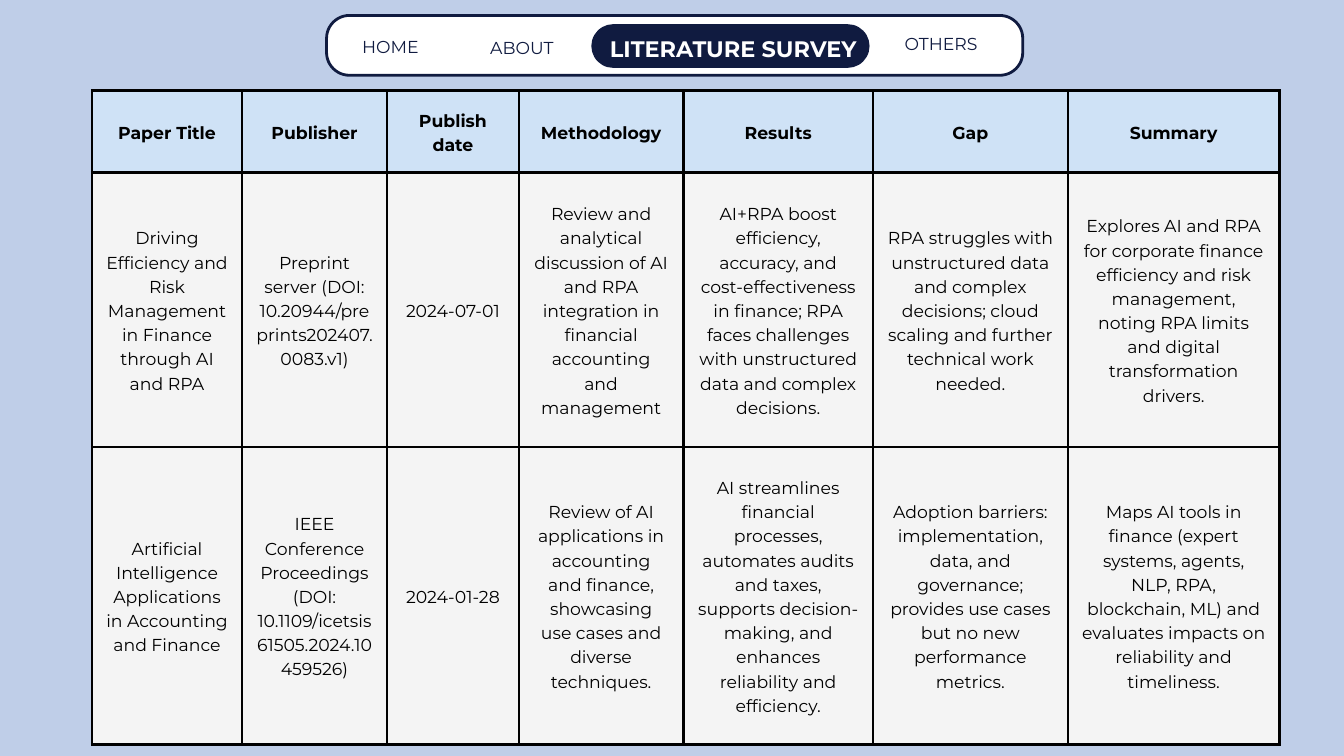
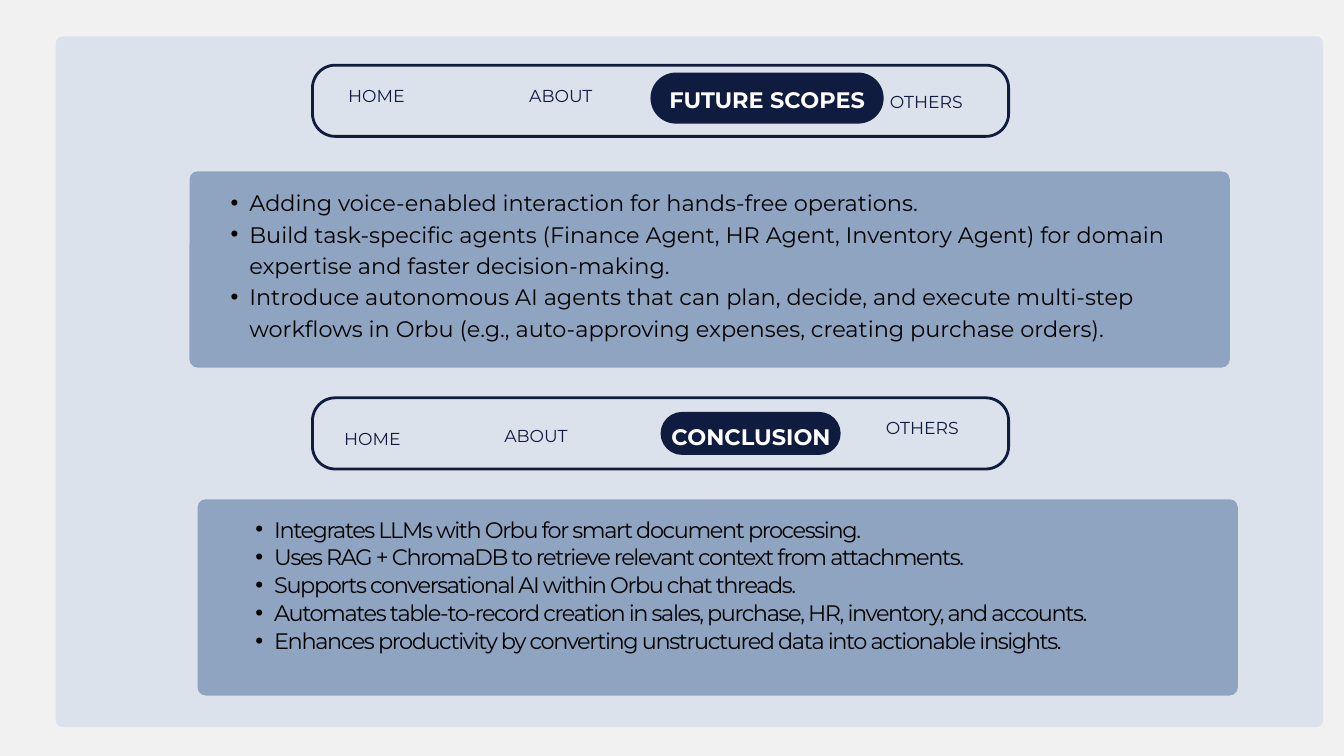
"""Build the literature survey slide and the future scopes and conclusion slide."""
from lxml import etree
from pptx import Presentation
from pptx import util as u
from pptx.dml.color import RGBColor
from pptx.enum import shapes, text
from pptx.oxml import ns

NAVY = RGBColor(0x10, 0x1B, 0x40)
WHITE = RGBColor(0xFF, 0xFF, 0xFF)
BLACK = RGBColor(0x00, 0x00, 0x00)
PERIWINKLE = RGBColor(0xBF, 0xCE, 0xE8)
LIGHT_GREY = RGBColor(0xF1, 0xF1, 0xF1)
PALE_BLUE = RGBColor(0xDC, 0xE2, 0xEB)
STEEL_BLUE = RGBColor(0x8F, 0xA4, 0xC1)
HEADER_BLUE = RGBColor(0xCF, 0xE2, 0xF6)
CELL_GREY = RGBColor(0xF4, 0xF4, 0xF4)

TITLE_ONLY, TWO_CONTENT = 5, 3
LABEL_WIDTHS = {"HOME": 1.82, "ABOUT": 2.09, "OTHERS": 2.43}
COLUMN_WIDTHS = [2.23, 2.16, 1.96, 2.45, 2.82, 2.9, 3.15]
ROW_HEIGHTS = [1.22, 4.08, 4.43]

PAPERS = [
    ["Paper Title", "Publisher", "Publish date", "Methodology", "Results", "Gap", "Summary"],
    [
        "Driving Efficiency and Risk Management in Finance through AI and RPA",
        "Preprint server (DOI: 10.20944/preprints202407.0083.v1)",
        "2024-07-01",
        "Review and analytical discussion of AI and RPA integration in financial "
        "accounting and management",
        "AI+RPA boost efficiency, accuracy, and cost-effectiveness in finance; RPA faces "
        "challenges with unstructured data and complex decisions.",
        "RPA struggles with unstructured data and complex decisions; cloud scaling and "
        "further technical work needed.",
        "Explores AI and RPA for corporate finance efficiency and risk management, noting "
        "RPA limits and digital transformation drivers.",
    ],
    [
        "Artificial Intelligence Applications in Accounting and Finance",
        "IEEE Conference Proceedings (DOI: 10.1109/icetsis61505.2024.10459526)",
        "2024-01-28",
        "Review of AI applications in accounting and finance, showcasing use cases and "
        "diverse techniques.",
        "AI streamlines financial processes, automates audits and taxes, supports "
        "decision-making, and enhances reliability and efficiency.",
        "Adoption barriers: implementation, data, and governance; provides use cases but "
        "no new performance metrics.",
        "Maps AI tools in finance (expert systems, agents, NLP, RPA, blockchain, ML) and "
        "evaluates impacts on reliability and timeliness.",
    ],
]

FUTURE_SCOPES = [
    "Adding voice-enabled interaction for hands-free operations.",
    "Build task-specific agents (Finance Agent, HR Agent, Inventory Agent) for domain "
    "expertise and faster decision-making.",
    "Introduce autonomous AI agents that can plan, decide, and execute multi-step "
    "workflows in Orbu (e.g., auto-approving expenses, creating purchase orders).",
]

CONCLUSIONS = [
    "Integrates LLMs with Orbu for smart document processing.",
    "Uses RAG + ChromaDB to retrieve relevant context from attachments.",
    "Supports conversational AI within Orbu chat threads.",
    "Automates table-to-record creation in sales, purchase, HR, inventory, and accounts.",
    "Enhances productivity by converting unstructured data into actionable insights.",
]


def inches(values):
    return [u.Inches(value) for value in values]


class Deck:
    def __init__(self):
        self.font_name = "Montserrat"
        self.presentation = Presentation()
        self.presentation.slide_width = u.Inches(20)
        self.presentation.slide_height = u.Inches(11.25)
        self.slide = None

    def new_slide(self, layout, background):
        self.slide = self.presentation.slides.add_slide(self.presentation.slide_layouts[layout])
        fill = self.slide.background.fill
        fill.solid()
        fill.fore_color.rgb = background

    def style(self, paragraph, size, color, line_spacing, alignment, bold=False):
        paragraph.alignment = alignment
        paragraph.line_spacing = u.Pt(line_spacing)
        paragraph.space_before = u.Pt(0)
        font = paragraph.font
        font.name, font.size, font.bold = self.font_name, u.Pt(size), bold
        font.color.rgb = color

    def rounded(self, box, radius, fill=None, line=None):
        shape = self.slide.shapes.add_shape(shapes.MSO_SHAPE.ROUNDED_RECTANGLE, *inches(box))
        shape.shadow.inherit = False
        shape.adjustments[0] = min(0.5, radius / min(box[2:]))
        if fill is None:
            shape.fill.background()
        else:
            shape.fill.solid()
            shape.fill.fore_color.rgb = fill
        if line is None:
            shape.line.fill.background()
        else:
            shape.line.color.rgb = line
            shape.line.width = u.Pt(3)

    def text_frame(self, box, placeholder=None):
        shape = placeholder
        if shape is None:
            shape = self.slide.shapes.add_textbox(*inches(box))
        else:
            shape.left, shape.top, shape.width, shape.height = inches(box)
            self.slide.shapes.element.append(shape.element)
        frame = shape.text_frame
        frame.word_wrap = True
        frame.auto_size = text.MSO_AUTO_SIZE.NONE
        frame.vertical_anchor = text.MSO_ANCHOR.TOP
        frame.margin_left = frame.margin_top = frame.margin_right = frame.margin_bottom = 0
        return frame

    def line_of_text(self, words, box, size, color, bold=False, placeholder=None):
        frame = self.text_frame(box, placeholder)
        frame.text = words
        self.style(frame.paragraphs[0], size, color, size * 1.4, text.PP_ALIGN.CENTER, bold)

    def navigation(self, bar, pill, heading, heading_box, labels, fill=None, placeholder=None):
        self.rounded(bar, 0.34, fill, NAVY)
        self.rounded(pill, pill[3] / 2, NAVY)
        for (label, width), (left, top) in zip(LABEL_WIDTHS.items(), labels):
            self.line_of_text(label, (left, top, width, 0.34), 18.5, NAVY)
        self.line_of_text(heading, heading_box, 24, WHITE, True, placeholder)

    def bullets(self, items, panel, box, placeholder, line_spacing, alignment, tracking=0):
        self.rounded(panel, 0.12, STEEL_BLUE)
        frame = self.text_frame(box, placeholder)
        frame.text = "\n".join(items)
        for paragraph in frame.paragraphs:
            paragraph.level = 1
            properties = paragraph._p.get_or_add_pPr()
            properties.set("marL", str(u.Inches(0.57)))
            properties.set("indent", str(u.Inches(-0.28)))
            etree.SubElement(properties, ns.qn("a:buChar")).set("char", "•")
            self.style(paragraph, 24, BLACK, line_spacing, alignment)
            if tracking:
                for run in paragraph.runs:
                    run._r.get_or_add_rPr().set("spc", str(tracking))

    def borders(self, cell):
        properties = cell._tc.get_or_add_tcPr()
        for side in ("lnL", "lnR", "lnT", "lnB"):
            line = etree.SubElement(properties, ns.qn(f"a:{side}"), w=str(u.Pt(3)))
            fill = etree.SubElement(line, ns.qn("a:solidFill"))
            etree.SubElement(fill, ns.qn("a:srgbClr"), val=str(BLACK))

    def table(self, rows, left, top):
        box = (left, top, sum(COLUMN_WIDTHS), sum(ROW_HEIGHTS))
        table = self.slide.shapes.add_table(len(rows), len(rows[0]), *inches(box)).table
        table.horz_banding = False
        for column, width in zip(table.columns, COLUMN_WIDTHS):
            column.width = u.Inches(width)
        for row_index, (row, height) in enumerate(zip(table.rows, ROW_HEIGHTS)):
            row.height = u.Inches(height)
            header = row_index == 0
            for cell, words in zip(row.cells, rows[row_index]):
                self.borders(cell)
                cell.fill.solid()
                cell.fill.fore_color.rgb = HEADER_BLUE if header else CELL_GREY
                cell.margin_left = cell.margin_right = u.Inches(0.21)
                cell.margin_top = cell.margin_bottom = u.Inches(0.21)
                cell.vertical_anchor = text.MSO_ANCHOR.MIDDLE
                cell.text = words
                self.style(cell.text_frame.paragraphs[0], 18.5, BLACK, 25.9,
                           text.PP_ALIGN.CENTER, header)


def literature_survey(deck):
    deck.new_slide(TITLE_ONLY, PERIWINKLE)
    deck.table(PAPERS, 1.37, 1.35)
    deck.navigation(
        (4.86, 0.23, 10.36, 0.89), (8.8, 0.36, 4.14, 0.65),
        "LITERATURE SURVEY", (8.95, 0.45, 3.92, 0.43),
        [(4.9, 0.49), (6.72, 0.5), (12.79, 0.45)],
        fill=WHITE, placeholder=deck.slide.shapes.title,
    )


def future_and_conclusion(deck):
    deck.new_slide(TWO_CONTENT, LIGHT_GREY)
    title, scopes_body, conclusion_body = list(deck.slide.placeholders)
    deck.rounded((0.83, 0.54, 18.86, 10.28), 0.1, PALE_BLUE)
    deck.navigation(
        (4.65, 0.97, 10.36, 1.06), (9.68, 1.08, 3.47, 0.76),
        "FUTURE SCOPES", (9.91, 1.22, 3.01, 0.42),
        [(4.69, 1.22), (7.3, 1.22), (12.57, 1.3)], placeholder=title,
    )
    deck.bullets(FUTURE_SCOPES, (2.82, 2.55, 15.48, 2.92), (3.14, 2.75, 14.61, 2.73),
                 scopes_body, 33.6, text.PP_ALIGN.LEFT)
    deck.navigation(
        (4.65, 5.92, 10.36, 1.06), (9.83, 6.13, 2.68, 0.64),
        "CONCLUSION", (9.97, 6.23, 2.41, 0.42),
        [(4.63, 6.32), (6.93, 6.27), (12.51, 6.16)],
    )
    deck.bullets(CONCLUSIONS, (2.94, 7.43, 15.48, 2.92), (3.51, 7.66, 13.87, 2.42),
                 conclusion_body, 29.8, text.PP_ALIGN.JUSTIFY, tracking=-150)


def main():
    deck = Deck()
    literature_survey(deck)
    future_and_conclusion(deck)
    deck.presentation.save("out.pptx")


if __name__ == "__main__":
    main()
